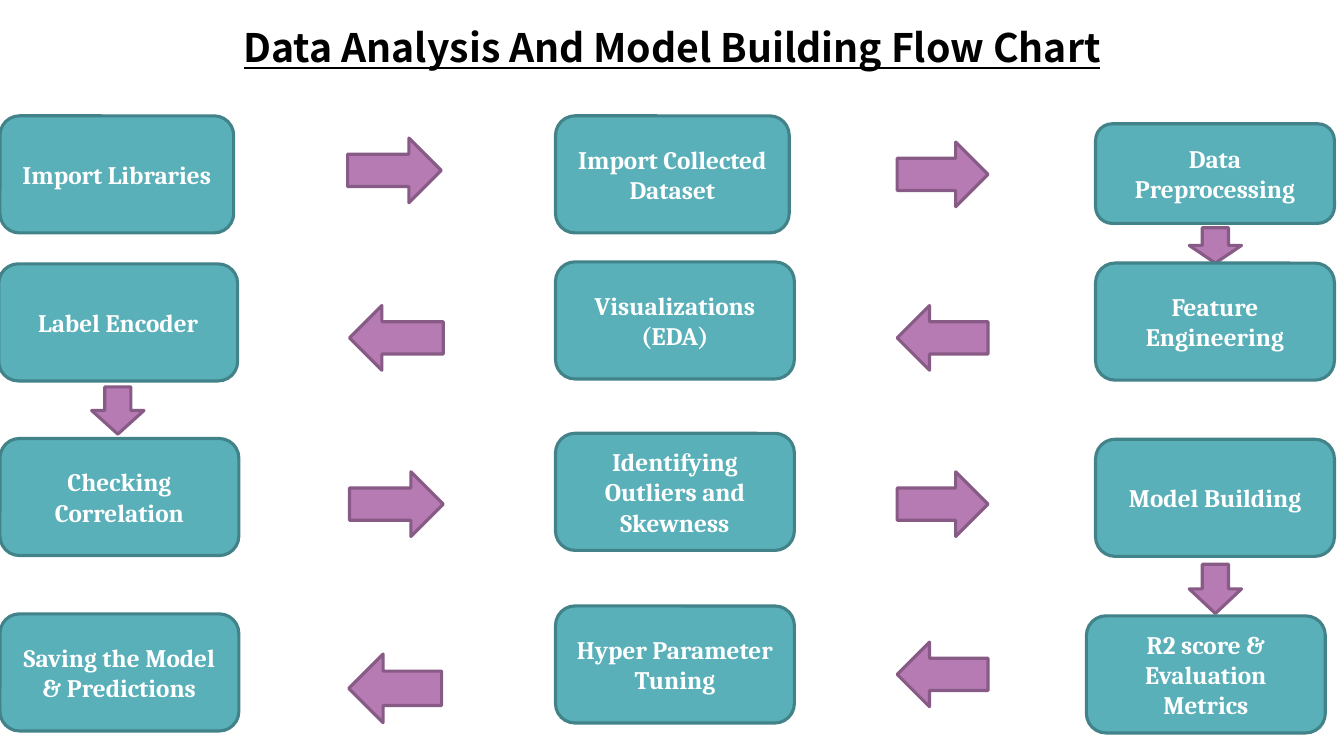
from pptx import Presentation
from pptx.dml.color import RGBColor
from pptx.enum.shapes import MSO_SHAPE as SHAPE
from pptx.enum.text import MSO_ANCHOR as ANCHOR, PP_ALIGN as ALIGN
from pptx.util import Cm, Pt


def rgb(value):
    return RGBColor.from_string(value)


def write(tf, text, color, **fmt):
    tf.word_wrap = True
    tf.text = text
    for p in tf.paragraphs:
        p.alignment = ALIGN.CENTER
        font = p.runs[0].font
        font.color.rgb = rgb(color)
        for name, value in fmt.items():
            setattr(font, name, value)


prs = Presentation()
prs.slide_width, prs.slide_height = Cm(33.87), Cm(19.05)
s = prs.slides.add_slide(prs.slide_layouts[6])

title = s.shapes.add_textbox(Cm(0), Cm(0.46), Cm(33.87), Cm(1.45))
write(title.text_frame, "Data Analysis And Model Building Flow Chart", "000000",
      name="Noto Sans CJK SC", size=Pt(28), bold=True, underline=True)

steps = [
    ("Import Libraries", 0, 2.92, 5.89, 2.95),
    ("Import Collected Dataset", 14, 2.92, 5.89, 2.95),
    ("Data Preprocessing", 27.61, 3.12, 6.02, 2.51),
    ("Feature Engineering", 27.61, 6.63, 6.02, 2.95),
    ("Visualizations\n(EDA)", 14, 6.6, 6.02, 2.95),
    ("Label Encoder", -0.03, 6.65, 6.02, 2.95),
    ("Checking Correlation", 0, 11.05, 6.02, 2.95),
    ("Identifying\nOutliers and Skewness", 14, 10.92, 6.02, 2.95),
    ("Model Building", 27.61, 11.07, 6.02, 2.95),
    ("R2 score & Evaluation Metrics", 27.38, 15.52, 6.02, 2.95),
    ("Hyper Parameter Tuning", 14, 15.27, 6.02, 2.95),
    ("Saving the Model & Predictions", 0, 15.47, 6.02, 2.95),
]
arrows = [
    (SHAPE.RIGHT_ARROW, 8.76, 3.48, 2.36, 1.63),
    (SHAPE.RIGHT_ARROW, 22.61, 3.58, 2.29, 1.63),
    (SHAPE.DOWN_ARROW, 29.97, 5.74, 1.32, 0.89),
    (SHAPE.LEFT_ARROW, 22.61, 7.7, 2.29, 1.63),
    (SHAPE.LEFT_ARROW, 8.81, 7.7, 2.36, 1.63),
    (SHAPE.DOWN_ARROW, 2.31, 9.75, 1.32, 1.19),
    (SHAPE.RIGHT_ARROW, 8.81, 11.89, 2.36, 1.63),
    (SHAPE.RIGHT_ARROW, 22.61, 11.89, 2.29, 1.63),
    (SHAPE.DOWN_ARROW, 29.97, 14.22, 1.32, 1.24),
    (SHAPE.LEFT_ARROW, 22.61, 16.18, 2.29, 1.63),
    (SHAPE.LEFT_ARROW, 8.79, 16.48, 2.34, 1.73),
]

items = [("", kind, box, "B77BB4", "875B85") for kind, *box in arrows]
items += [(text, SHAPE.FLOWCHART_ALTERNATE_PROCESS, box, "59B0B9", "428289")
          for text, *box in steps]

for text, kind, box, fill, line in items:
    sp = s.shapes.add_shape(kind, *map(Cm, box))
    sp.shadow.inherit = False
    sp.fill.solid()
    sp.fill.fore_color.rgb = rgb(fill)
    sp.line.color.rgb = rgb(line)
    sp.line.width = Pt(2.25)
    if text:
        sp.text_frame.vertical_anchor = ANCHOR.MIDDLE
        write(sp.text_frame, text, "FFFFFF", name="Cambria", size=Pt(18), bold=True)

prs.save("out.pptx")
